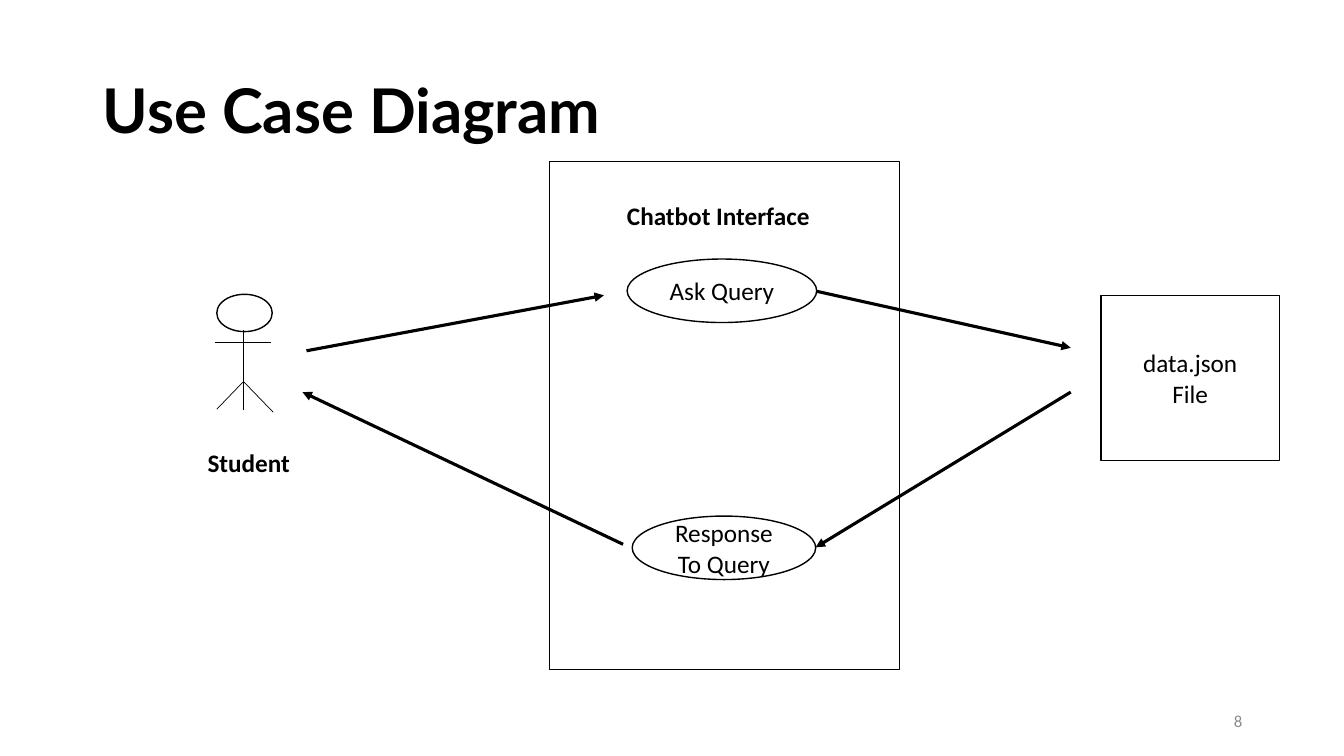
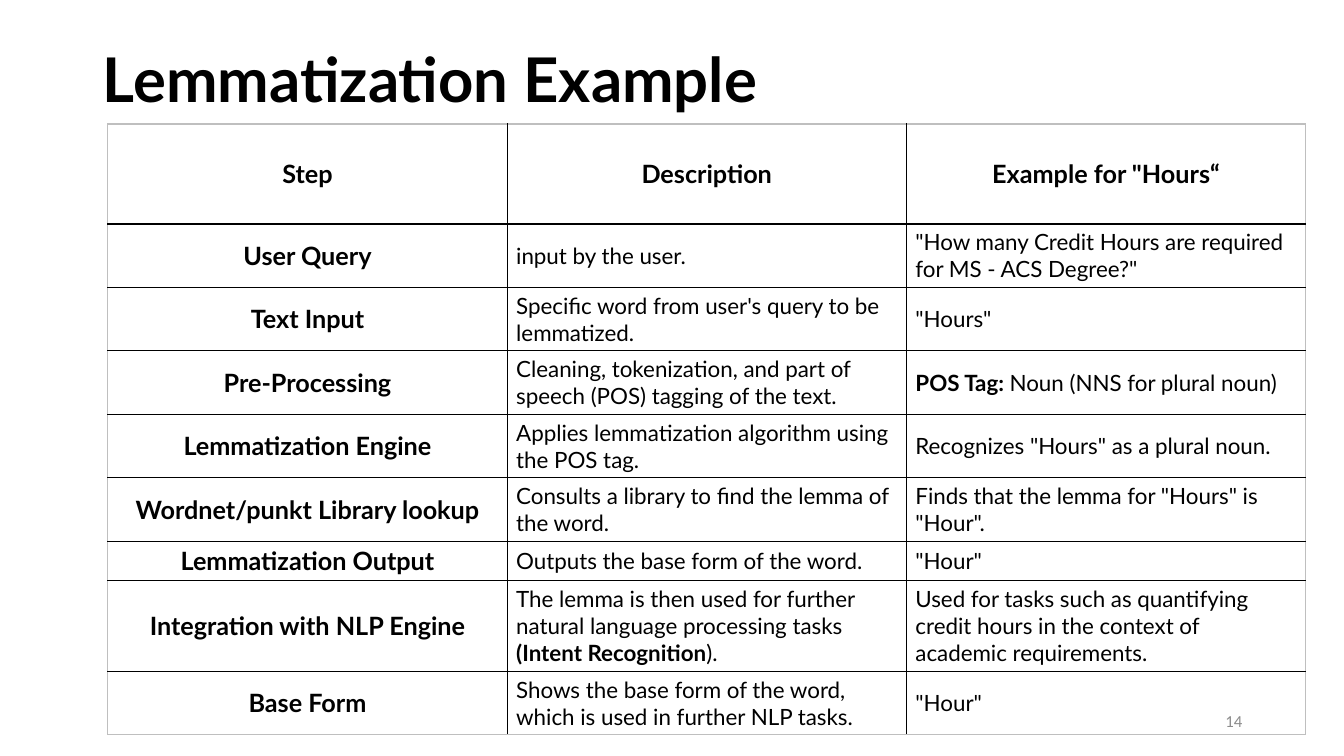
"""Builds a use case diagram slide and a lemmatization table slide."""
from dataclasses import dataclass

from pptx import Presentation
from pptx import util as u
from pptx.dml.color import RGBColor
from pptx.enum import shapes, text
from pptx.oxml import parse_xml
from pptx.oxml.ns import nsdecls

PX = 9144
LEFT, CENTER, RIGHT = text.PP_ALIGN.LEFT, text.PP_ALIGN.CENTER, text.PP_ALIGN.RIGHT
TOP, MIDDLE = text.MSO_ANCHOR.TOP, text.MSO_ANCHOR.MIDDLE
OVAL, BOX = shapes.MSO_SHAPE.OVAL, shapes.MSO_SHAPE.RECTANGLE


@dataclass(frozen=True)
class Theme:
    """Colours, fonts, type sizes and line widths."""
    ink: str = "000000"
    paper: str = "FFFFFF"
    muted: str = "8C8C8C"
    frame: str = "BFBFBF"
    display: str = "Lato"
    label: str = "Calibri"
    title_size: int = 44
    heading_size: int = 18
    cell_size: int = 16
    number_size: int = 12
    hair: float = 0.5
    outline: float = 1
    rule: float = 1.5
    arrow: float = 2.25


THEME = Theme()


def write(frame, content, size=THEME.heading_size, font=THEME.label, color=THEME.ink,
          bold=False, align=LEFT, anchor=TOP, spacing=None):
    """Fills a text frame; lines are paragraphs and *stars* mark bold runs."""
    frame.word_wrap = True
    frame.vertical_anchor = anchor
    for index, line in enumerate(content.split("\n")):
        paragraph = frame.add_paragraph() if index else frame.paragraphs[0]
        paragraph.alignment = align
        if spacing:
            paragraph.line_spacing = spacing
        for order, part in enumerate(line.split("*")):
            if part:
                run = paragraph.add_run()
                run.text = part
                run.font.name, run.font.size = font, u.Pt(size)
                run.font.bold = bold or order % 2 == 1
                run.font.color.rgb = RGBColor.from_string(color)


class Deck:
    """Holds the presentation, its theme and the current slide."""

    def __init__(self, theme):
        """Starts an empty widescreen presentation."""
        self.theme = theme
        self.show = Presentation()
        self.show.slide_width, self.show.slide_height = self.px(1333, 750)
        self.slide = None

    @staticmethod
    def px(*lengths):
        """Turns px lengths into EMU."""
        return [u.Emu(length * PX) for length in lengths]

    def page(self, heading, heading_height):
        """Adds a slide with its title."""
        self.slide = self.show.slides.add_slide(self.show.slide_layouts[5])
        title = self.slide.shapes.title
        title.left, title.top, title.width, title.height = self.px(92, 40, 1150, heading_height)
        title.text_frame.auto_size = text.MSO_AUTO_SIZE.NONE
        write(title.text_frame, heading, size=self.theme.title_size, font=self.theme.display,
              bold=True, anchor=MIDDLE, spacing=0.9)

    def number(self, page_number):
        """Adds the page number at the lower right."""
        self.caption((942, 695, 300, 40), page_number, size=self.theme.number_size,
                     color=self.theme.muted, align=RIGHT, anchor=MIDDLE)

    def caption(self, area, content, **style):
        """Adds free text."""
        write(self.slide.shapes.add_textbox(*self.px(*area)).text_frame, content, **style)

    def node(self, kind, area, content="", host=None):
        """Adds an outlined shape with centred text."""
        shape = (host or self.slide).shapes.add_shape(kind, *self.px(*area))
        shape.shadow.inherit = False
        shape.fill.solid()
        shape.fill.fore_color.rgb = RGBColor.from_string(self.theme.paper)
        shape.line.color.rgb = RGBColor.from_string(self.theme.ink)
        shape.line.width = u.Pt(self.theme.outline)
        if content:
            write(shape.text_frame, content, align=CENTER, anchor=MIDDLE)

    def line(self, ends, width, host=None, arrow=False):
        """Adds a straight line, with an arrowhead if asked."""
        link = (host or self.slide).shapes.add_connector(
            shapes.MSO_CONNECTOR.STRAIGHT, *self.px(*ends))
        link.line.color.rgb = RGBColor.from_string(self.theme.ink)
        link.line.width = u.Pt(width)
        if arrow:
            link.line._get_or_add_ln().append(
                parse_xml(f'<a:tailEnd {nsdecls("a")} type="triangle"/>'))
        link._element.spPr.append(parse_xml(f'<a:effectLst {nsdecls("a")}/>'))

    def actor(self, left, top):
        """Adds a stick figure as one group."""
        figure = self.slide.shapes.add_group_shape()
        self.node(OVAL, (left + 2, top, 55, 37), host=figure)
        limbs = [(28, 35, 28, 115), (0, 48, 56, 48), (29, 86, 2, 114), (29, 87, 58, 117)]
        for x1, y1, x2, y2 in limbs:
            self.line((left + x1, top + y1, left + x2, top + y2), self.theme.hair, host=figure)

    def border(self, cell, side, color, width):
        """Draws one side of a cell; side is L, R, T or B."""
        cell._tc.get_or_add_tcPr().append(parse_xml(
            f'<a:ln{side} {nsdecls("a")} w="{u.Pt(width)}"><a:solidFill>'
            f'<a:srgbClr val="{color}"/></a:solidFill></a:ln{side}>'))

    def table(self, left, top, column_width, heights, rows):
        """Adds a table with a heading row and a heading column."""
        count, across = len(rows), len(rows[0])
        grid = self.slide.shapes.add_table(
            count, across, *self.px(left, top, column_width * across, sum(heights))).table
        grid.first_row = grid.horz_banding = False
        for column in grid.columns:
            column.width, = self.px(column_width)
        for r, (height, row) in enumerate(zip(heights, rows)):
            grid.rows[r].height, = self.px(height)
            for c, content in enumerate(row):
                self.cell(grid.cell(r, c), content, heading=r == 0 or c == 0)
                edges = {"L": c == 0, "R": c == across - 1, "T": r == 0, "B": r == count - 1}
                for side, outer in edges.items():
                    under_heading = (r, side) in ((0, "B"), (1, "T"))
                    self.border(grid.cell(r, c), side,
                                self.theme.frame if outer else self.theme.ink,
                                self.theme.rule if under_heading else self.theme.outline)

    def cell(self, cell, content, heading):
        """Formats and fills one table cell."""
        cell.margin_left, cell.margin_right, cell.margin_top, cell.margin_bottom = (
            self.px(9, 9, 4, 4))
        cell.vertical_anchor = MIDDLE
        write(cell.text_frame, content, font=self.theme.display, bold=heading,
              size=self.theme.heading_size if heading else self.theme.cell_size,
              align=CENTER if heading else LEFT, anchor=None)
        cell.fill.solid()
        cell.fill.fore_color.rgb = RGBColor.from_string(self.theme.paper)


STEPS = [
    ("Step", "Description", 'Example for "Hours“'),
    ("User Query", "input by the user.",
     '"How many Credit Hours are required for MS - ACS Degree?"'),
    ("Text Input", "Specific word from user's query to be lemmatized.", '"Hours"'),
    ("Pre-Processing", "Cleaning, tokenization, and part of speech (POS) tagging of the text.",
     "*POS Tag: *Noun (NNS for plural noun)"),
    ("Lemmatization Engine", "Applies lemmatization algorithm using the POS tag.",
     'Recognizes "Hours" as a plural noun.'),
    ("Wordnet/punkt Library lookup", "Consults a library to find the lemma of the word.",
     'Finds that the lemma for "Hours" is "Hour".'),
    ("Lemmatization Output", "Outputs the base form of the word.", '"Hour"'),
    ("Integration with NLP Engine",
     "The lemma is then used for further natural language processing tasks "
     "*(Intent Recognition*).",
     "Used for tasks such as quantifying credit hours in the context of academic requirements."),
    ("Base Form", "Shows the base form of the word, which is used in further NLP tasks.",
     '"Hour"'),
]


def use_case(deck):
    """Builds the use case diagram."""
    deck.page("Use Case Diagram", 145)
    deck.actor(213, 292)
    deck.caption((196, 439, 149, 71), "Student", bold=True)
    deck.node(BOX, (1092, 293, 177, 164), "data.json\nFile")
    deck.node(BOX, (545, 160, 347, 504))
    deck.caption((612, 194, 217, 40), "Chatbot Interface", bold=True)
    deck.node(OVAL, (622, 257, 188, 63), "Ask Query")
    deck.node(OVAL, (627, 512, 182, 63), "Response To Query")
    for flow in [(304, 348, 599, 293), (810, 289, 1062, 345),
                 (1062, 389, 809, 543), (618, 540, 300, 389)]:
        deck.line(flow, deck.theme.arrow, arrow=True)
    deck.number("8")


def lemmatization(deck):
    """Builds the lemmatization table."""
    deck.page("Lemmatization Example", 83)
    deck.table(107, 123, 396, [99] + [63] * 5 + [39, 90, 63], STEPS)
    deck.number("14")


def main():
    """Builds and saves both slides."""
    deck = Deck(THEME)
    use_case(deck)
    lemmatization(deck)
    deck.show.save("out.pptx")


if __name__ == "__main__":
    main()
